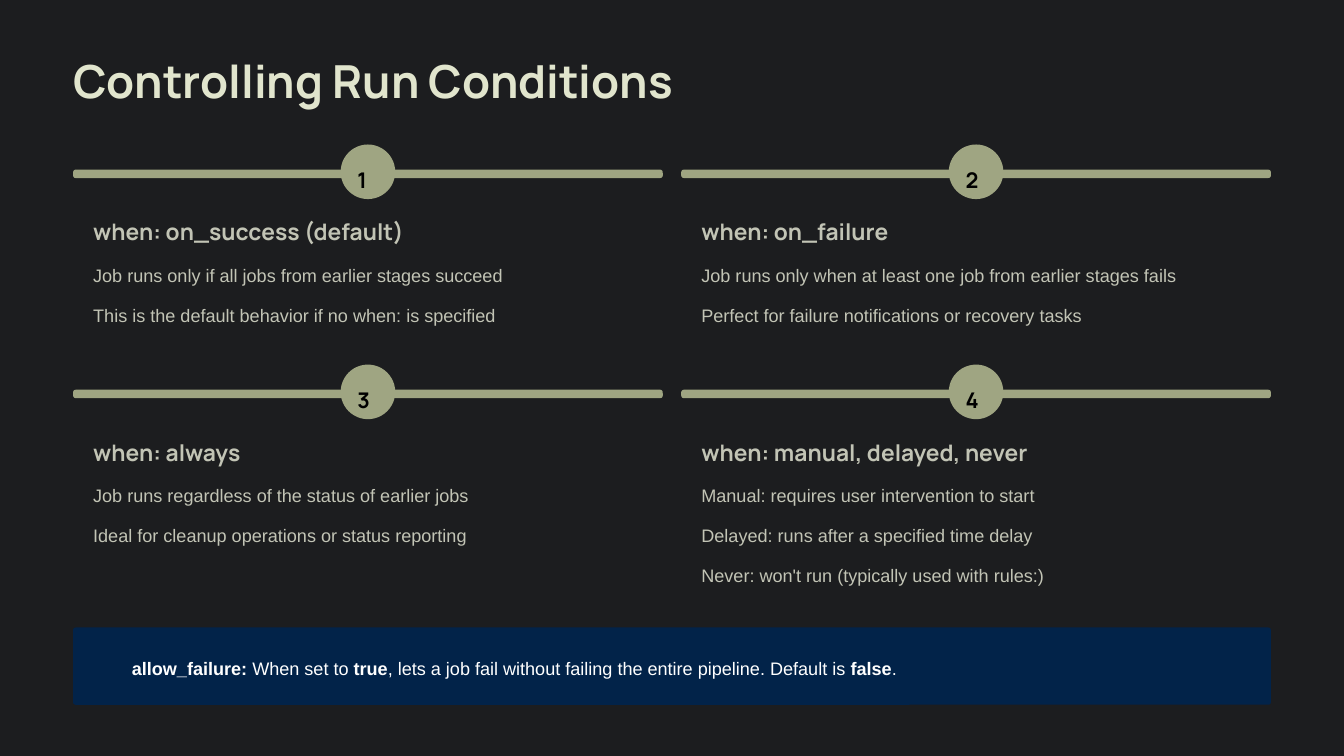
from dataclasses import dataclass

from pptx import Presentation
from pptx.dml.color import RGBColor
from pptx.enum.shapes import MSO_SHAPE
from pptx.enum.text import MSO_ANCHOR
from pptx.util import Inches, Pt

# Content
TITLE = "Controlling Run Conditions"
CONDITIONS = [
    ("when: on_success (default)", [
        "Job runs only if all jobs from earlier stages succeed",
        "This is the default behavior if no when: is specified"]),
    ("when: on_failure", [
        "Job runs only when at least one job from earlier stages fails",
        "Perfect for failure notifications or recovery tasks"]),
    ("when: always", [
        "Job runs regardless of the status of earlier jobs",
        "Ideal for cleanup operations or status reporting"]),
    ("when: manual, delayed, never", [
        "Manual: requires user intervention to start",
        "Delayed: runs after a specified time delay",
        "Never: won't run (typically used with rules:)"]),
]
NOTE = [("allow_failure:", True), (" When set to ", False), ("true", True),
        (", lets a job fail without failing the entire pipeline. Default is ", False),
        ("false", True), (".", False)]


# Theme
@dataclass(frozen=True)
class TextStyle:
    font: str
    size: float
    color: str
    line: float
    bold: bool = False
    after: float = 0


@dataclass(frozen=True)
class Theme:
    background: str = "1C1D1F"
    accent: str = "9FA582"
    banner: str = "022349"
    title: TextStyle = TextStyle("Manrope", 39, "E1E5CD", 48.5, True)
    number: TextStyle = TextStyle("Manrope", 18.5, "000000", 30, True)
    heading: TextStyle = TextStyle("Manrope", 19.5, "C2C4B5", 24, True)
    body: TextStyle = TextStyle("Arial", 15.5, "C2C4B5", 25, after=9.4)
    note: TextStyle = TextStyle("Arial", 15.5, "FFFFFF", 25)


THEME = Theme()

# Grid, in inches
WIDTH, HEIGHT = 16, 9
MARGIN, GUTTER, COLUMNS = 0.87, 0.22, 2
CONTENT_WIDTH = WIDTH - 2 * MARGIN
COLUMN_WIDTH = (CONTENT_WIDTH - GUTTER * (COLUMNS - 1)) / COLUMNS
ROWS = [(2.02, 2.08), (4.64, 2.56)]  # top of the bar, height of the card
BAR, BADGE, PADDING = 0.1, 0.65, 0.24
LINE_PITCH = 0.48
BANNER_TOP, BANNER_HEIGHT = 7.47, 0.92


def add_panel(slide, left, top, width, height, color, radius):
    shape = slide.shapes.add_shape(
        MSO_SHAPE.ROUNDED_RECTANGLE,
        Inches(left), Inches(top), Inches(width), Inches(height))
    shape.adjustments[0] = radius / min(width, height)
    shape.shadow.inherit = False
    shape.fill.solid()
    shape.fill.fore_color.rgb = RGBColor.from_string(color)
    shape.line.fill.background()


def add_text(slide, left, top, width, height, paragraphs, style):
    """Each paragraph is a list of (text, bold) runs."""
    box = slide.shapes.add_textbox(
        Inches(left), Inches(top), Inches(width), Inches(height))
    frame = box.text_frame
    frame.margin_left = frame.margin_right = 0
    frame.margin_top = frame.margin_bottom = 0
    frame.vertical_anchor = MSO_ANCHOR.TOP
    frame.word_wrap = False
    for index, runs in enumerate(paragraphs):
        paragraph = frame.add_paragraph() if index else frame.paragraphs[0]
        paragraph.line_spacing = Pt(style.line)
        paragraph.space_after = Pt(style.after)
        for text, bold in runs:
            run = paragraph.add_run()
            run.text = text
            run.font.name = style.font
            run.font.size = Pt(style.size)
            run.font.bold = bold
            run.font.color.rgb = RGBColor.from_string(style.color)


def add_line(slide, left, top, width, height, text, style):
    add_text(slide, left, top, width, height, [[(text, style.bold)]], style)


def add_condition(slide, index, heading, lines):
    row, column = divmod(index, COLUMNS)
    top, card_height = ROWS[row]
    left = MARGIN + column * (COLUMN_WIDTH + GUTTER)
    badge_left = left + (COLUMN_WIDTH - BADGE) / 2
    text_left, text_width = left + PADDING, COLUMN_WIDTH - 2 * PADDING

    add_panel(slide, left, top + 0.03, COLUMN_WIDTH, card_height, THEME.background, 0.12)
    add_panel(slide, left, top, COLUMN_WIDTH, BAR, THEME.accent, 0.03)
    add_panel(slide, badge_left, top - 0.3, BADGE, BADGE, THEME.accent, BADGE / 2)
    add_line(slide, badge_left + 0.2, top - 0.14, 0.26, 0.33, str(index + 1), THEME.number)
    add_line(slide, text_left, top + 0.57, text_width, 0.34, heading, THEME.heading)
    add_text(slide, text_left, top + 1.04, text_width, LINE_PITCH * len(lines),
             [[(line, THEME.body.bold)] for line in lines], THEME.body)


def main():
    presentation = Presentation()
    presentation.slide_width = Inches(WIDTH)
    presentation.slide_height = Inches(HEIGHT)
    slide = presentation.slides.add_slide(presentation.slide_layouts[6])
    slide.background.fill.solid()
    slide.background.fill.fore_color.rgb = RGBColor.from_string(THEME.background)

    # Title, given the full content width so that it stays on one line
    add_line(slide, MARGIN, 0.61, CONTENT_WIDTH, 0.68, TITLE, THEME.title)

    # Numbered conditions
    for index, (heading, lines) in enumerate(CONDITIONS):
        add_condition(slide, index, heading, lines)

    # Note banner
    add_panel(slide, MARGIN, BANNER_TOP, CONTENT_WIDTH, BANNER_HEIGHT, THEME.banner, 0.03)
    add_text(slide, MARGIN + 0.7, BANNER_TOP + 0.27, 13.34, 0.35, [NOTE], THEME.note)

    presentation.save("out.pptx")


if __name__ == "__main__":
    main()
